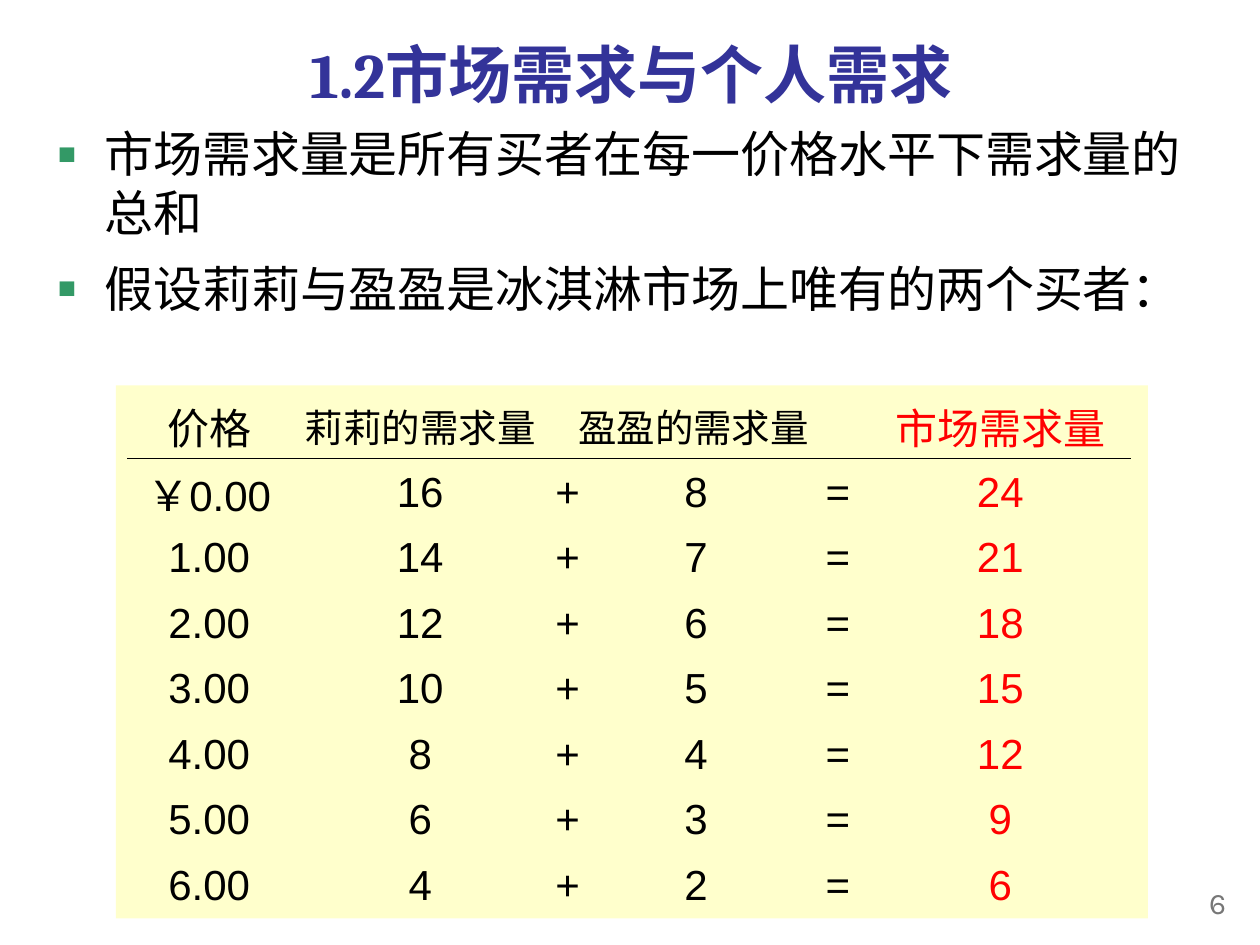
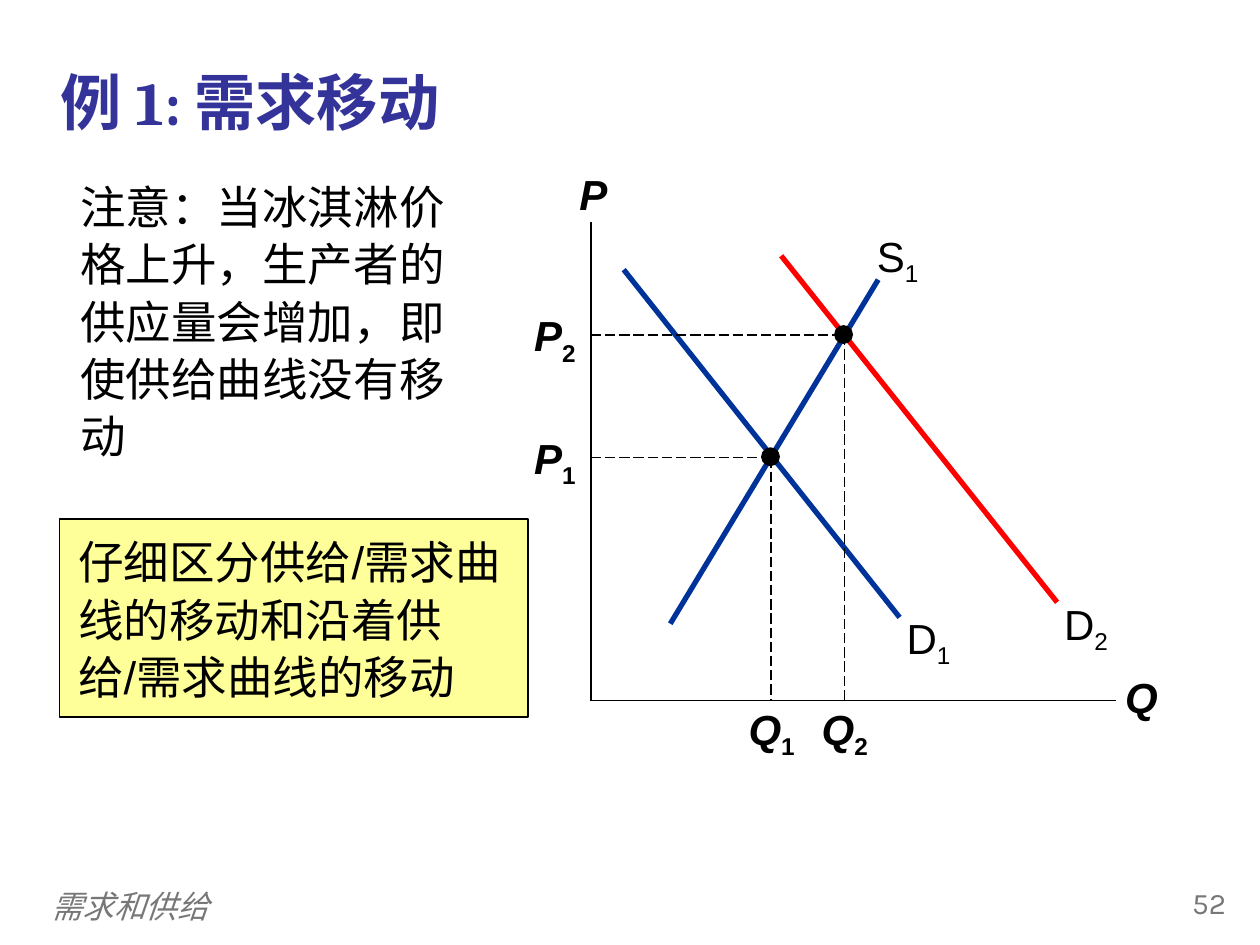
"""Build two slides on market demand and a demand shift."""
import pptx
import pptx.dml.color
import pptx.enum.dml
import pptx.enum.shapes
import pptx.enum.text
import pptx.oxml.ns
import pptx.util
from lxml import etree

Inches, Pt = pptx.util.Inches, pptx.util.Pt
rgb = pptx.dml.color.RGBColor.from_string
qn = pptx.oxml.ns.qn
ALIGN = pptx.enum.text.PP_ALIGN
ANCHOR = pptx.enum.text.MSO_ANCHOR
SHAPE = pptx.enum.shapes.MSO_SHAPE
BLACK, BLUE, RED = "000000", "003399", "FF0000"
TITLE = {"name": "Cambria", "bold": True, "color": "333399"}
BODY = {"name": "Arial", "size": Pt(28), "color": BLACK}
NOTE = BODY | {"size": Pt(26)}
CELL = BODY | {"size": Pt(24)}
AXIS = CELL | {"bold": True, "italic": True}
NUMBER = {"name": "Karla", "size": Pt(17), "color": "777777"}
FOOTER = {"name": "Arial", "size": Pt(18), "italic": True, "color": "777777"}


def write(tf, text, fmt, align=ALIGN.LEFT, sub="", insets=(0.1, 0.05, 0.1, 0.05)):
    """Add a paragraph, with an optional upright subscript, to a text frame."""
    tf.word_wrap = True
    for side, inset in zip(("left", "top", "right", "bottom"), insets):
        setattr(tf, f"margin_{side}", Inches(inset))
    p = tf.add_paragraph() if tf.text else tf.paragraphs[0]
    p.alignment = align
    for part in filter(None, (text, sub)):
        r = p.add_run()
        r.text = part
        for key, value in fmt.items():
            if key == "color":
                r.font.color.rgb = rgb(value)
            else:
                setattr(r.font, key, value)
    if sub:
        r.font.italic = False
        r._r.get_or_add_rPr().set("baseline", "-25000")
    return p


def line(s, start, end, color=BLACK, width=1, dash=None):
    """Draw a straight line between two points."""
    sp = s.shapes.add_connector(pptx.enum.shapes.MSO_CONNECTOR.STRAIGHT,
                                *map(Inches, start + end))
    sp.line.color.rgb = rgb(color)
    sp.line.width = Pt(width)
    if dash:
        sp.line.dash_style = dash
    etree.SubElement(sp._element.spPr, qn("a:effectLst"))


prs = pptx.Presentation()
prs.slide_width, prs.slide_height = Inches(10), Inches(7.5)

for title, box, size, align, number in [
    ("1.2市场需求与个人需求", (0.09, 0.26, 9.84, 0.64), 36, ALIGN.CENTER, "6"),
    ("例 1: 需求移动", (0.38, 0.18, 9.13, 1.25), 35, ALIGN.LEFT, "52"),
]:
    s = prs.slides.add_slide(prs.slide_layouts[5])
    sp = s.shapes.title
    sp.left, sp.top, sp.width, sp.height = map(Inches, box)
    tf = sp.text_frame
    write(tf, title, TITLE | {"size": Pt(size)}, align)
    tf.auto_size = pptx.enum.text.MSO_AUTO_SIZE.NONE
    tf.vertical_anchor = ANCHOR.MIDDLE
    sp = s.shapes.add_textbox(*map(Inches, (9.08, 6.97, 0.75, 0.4)))
    write(sp.text_frame, number, NUMBER, ALIGN.RIGHT)

s = prs.slides[0]
tf = s.shapes.add_textbox(*map(Inches, (0.35, 0.93, 9.32, 2.17))).text_frame
for i, text in enumerate(["市场需求量是所有买者在每一价格水平下需求量的总和",
                          "假设莉莉与盈盈是冰淇淋市场上唯有的两个买者："]):
    p = write(tf, text, BODY)
    p.space_before = Pt(9.8 * i)
    pPr = p._p.get_or_add_pPr()
    pPr.set("marL", str(Inches(0.38)))
    pPr.set("indent", str(Inches(-0.38)))
    bullet_color = etree.SubElement(pPr, qn("a:buClr"))
    etree.SubElement(bullet_color, qn("a:srgbClr"), val="339966")
    etree.SubElement(pPr, qn("a:buSzPct"), val="120000")
    etree.SubElement(pPr, qn("a:buFont"), typeface="Arial")
    etree.SubElement(pPr, qn("a:buChar"), char="▪")

panel = s.shapes.add_shape(SHAPE.RECTANGLE, *map(Inches, (0.92, 3.06, 8.19, 4.23)))
panel.shadow.inherit = False
panel.fill.solid()
panel.fill.fore_color.rgb = rgb("FFFFCC")
panel.line.fill.background()

rows = [["价格", "莉莉的需求量", "盈盈的需求量", "", "", "市场需求量"]]
for price in range(7):
    lily, ying = 16 - 2 * price, 8 - price
    label = f"{price}.00" if price else "￥0.00"
    rows.append([label, str(lily), "+", str(ying), "=", str(lily + ying)])

frame = s.shapes.add_table(len(rows), 6, *map(Inches, (1.01, 3.1, 7.97, 4.18)))
table = frame.table
table.first_row = table.horz_banding = False
style = table._tbl.tblPr.find(qn("a:tableStyleId"))
style.text = "{2D5ABB26-0587-4C30-8999-92F81FD0307C}"
for col, width in zip(table.columns, (1.3, 2.05, 0.29, 1.75, 0.5, 2.08)):
    col.width = Inches(width)
for i, row in enumerate(rows):
    table.rows[i].height = Inches(0.52 if i else 0.54)
    for j, text in enumerate(row):
        cell = table.cell(i, j)
        cell.fill.solid()
        cell.fill.fore_color.rgb = rgb("FFFFCC")
        cell.vertical_anchor = ANCHOR.MIDDLE
        for side in ("left", "top", "right", "bottom"):
            setattr(cell, f"margin_{side}", 0)
        if text:
            fmt = CELL | {"color": RED if j == 5 else BLACK}
            if i == 0 and j in (1, 2):
                fmt["size"] = Pt(22)
            p = cell.text_frame.paragraphs[0]
            p.alignment = ALIGN.CENTER
            p.line_spacing = 1.05
            r = p.add_run()
            r.text = text
            r.font.color.rgb = rgb(fmt.pop("color"))
            for key, value in fmt.items():
                setattr(r.font, key, value)
table.cell(0, 2).merge(table.cell(0, 4))
table.cell(0, 2).margin_right = Inches(0.25)
line(s, (1.01, 3.64), (8.98, 3.64))

s = prs.slides[1]
tf = s.shapes.add_textbox(*map(Inches, (0.31, 6.99, 8.02, 0.4))).text_frame
write(tf, "需求和供给", FOOTER)
tf.vertical_anchor = ANCHOR.MIDDLE

origin_x, origin_y = 4.69, 5.56
line(s, (origin_x, 1.76), (origin_x, origin_y))
line(s, (origin_x, origin_y), (8.86, origin_y))
for start, end, color in [
    ((4.95, 2.14), (7.14, 4.9), BLUE),
    ((5.32, 4.95), (6.97, 2.22), BLUE),
    ((6.2, 2.03), (8.39, 4.78), RED),
]:
    line(s, start, end, color, 3)

labels = [
    ("P", "", (4.48, 1.29, 0.46, 0.5), AXIS),
    ("Q", "", (8.81, 5.28, 0.5, 0.5), AXIS),
    ("D", "1", (7.07, 4.81, 0.6, 0.5), CELL),
    ("S", "1", (6.81, 1.78, 0.63, 0.5), CELL),
    ("D", "2", (8.32, 4.7, 0.6, 0.5), CELL),
]
dash = pptx.enum.dml.MSO_LINE.LONG_DASH
for sub, x, y in [("1", 6.12, 3.63), ("2", 6.7, 2.66)]:
    line(s, (origin_x, y), (x, y), width=0.75, dash=dash)
    line(s, (x, y), (x, origin_y), width=0.75, dash=dash)
    dot = s.shapes.add_shape(SHAPE.OVAL, *map(Inches, (x - 0.08, y - 0.08, 0.15, 0.15)))
    dot.shadow.inherit = False
    dot.fill.solid()
    dot.fill.fore_color.rgb = rgb(BLACK)
    dot.line.fill.background()
    labels += [("P", sub, (4.14, y - 0.2, 0.53, 0.4), AXIS),
               ("Q", sub, (x - 0.26, 5.58, 0.53, 0.4), AXIS)]
for text, sub, box, fmt in labels:
    tf = s.shapes.add_textbox(*map(Inches, box)).text_frame
    insets = (0, 0, 0, 0) if box[3] == 0.4 else (0.1, 0.05, 0.1, 0.05)
    write(tf, text, fmt, ALIGN.CENTER, sub, insets)

sp = s.shapes.add_textbox(*map(Inches, (0.54, 1.35, 3.24, 2.4)))
p = write(sp.text_frame, "注意：当冰淇淋价格上升，生产者的供应量会增加，即使供给曲线没有移动", NOTE)
p.line_spacing = 1.05

sp = s.shapes.add_shape(SHAPE.RECTANGLE, *map(Inches, (0.47, 4.12, 3.72, 1.57)))
sp.shadow.inherit = False
sp.fill.solid()
sp.fill.fore_color.rgb = rgb("FFFF99")
sp.line.color.rgb = rgb(BLACK)
sp.line.width = Pt(0.75)
sp.text_frame.vertical_anchor = ANCHOR.TOP
p = write(sp.text_frame, "仔细区分供给/需求曲线的移动和沿着供给/需求曲线的移动", NOTE,
          insets=(0.15, 0.1, 0.1, 0.1))
p.line_spacing = 1.05

prs.save("out.pptx")
